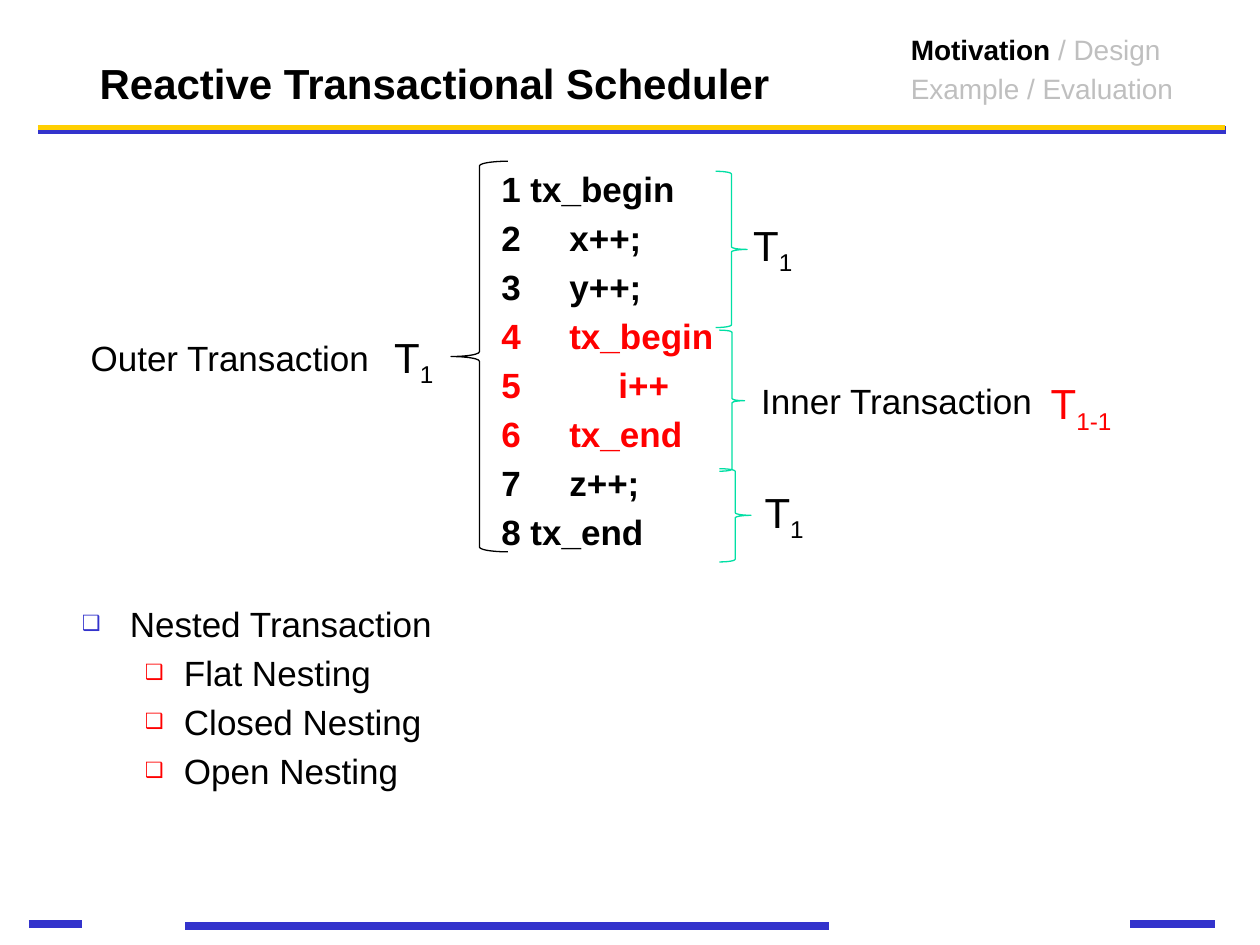
from dataclasses import dataclass

from lxml.etree import SubElement
from pptx import Presentation
from pptx.dml.color import RGBColor
from pptx.enum.shapes import MSO_CONNECTOR as Connector, MSO_SHAPE as Shape
from pptx.enum.text import MSO_ANCHOR as Anchor, MSO_AUTO_SIZE as AutoSize, PP_ALIGN as Align
from pptx.oxml.ns import qn
from pptx.util import Inches, Pt


@dataclass(frozen=True)
class Theme:
    """Colours, font and type sizes of the slide."""
    font: str = "Arial"
    ink: str = "000000"
    red: str = "FF0000"
    blue: str = "3333CC"
    gold: str = "FFCF01"
    green: str = "00DFA4"
    muted: str = "BFBFBF"
    heading: int = 24
    text: int = 20
    small: int = 16


THEME = Theme()

RULES = [
    (0.3, 9.73, 1.03, THEME.blue, 4.5),
    (1.47, 6.58, 7.35, THEME.blue, 4.5),
    (8.97, 9.64, 7.33, THEME.blue, 4.5),
    (0.3, 9.72, 1.01, THEME.gold, 3),
    (0.23, 0.65, 7.33, THEME.blue, 4.5),
]
CODE = [
    ("1 tx_begin", 0, THEME.ink),
    ("2\tx++;", 1, THEME.ink),
    ("3\ty++;", 1, THEME.ink),
    ("4\ttx_begin", 1, THEME.red),
    ("5\ti++", 2, THEME.red),
    ("6\ttx_end", 1, THEME.red),
    ("7\tz++;", 1, THEME.ink),
    ("8 tx_end", 0, THEME.ink),
]
TAB_STOPS = {1: 0.54, 2: 0.93}
BRACES = [
    (Shape.LEFT_BRACE, (3.58, 1.28, 0.45, 3.1), THEME.ink),
    (Shape.RIGHT_BRACE, (5.68, 1.36, 0.25, 1.24), THEME.green),
    (Shape.RIGHT_BRACE, (5.71, 2.62, 0.2, 1.12), THEME.green),
    (Shape.RIGHT_BRACE, (5.71, 3.72, 0.25, 0.74), THEME.green),
]
SYMBOLS = [
    ("1", (3.03, 2.58, 0.77, 0.5), THEME.ink),
    ("1", (5.88, 1.69, 0.77, 0.5), THEME.ink),
    ("1", (5.97, 3.81, 0.77, 0.5), THEME.ink),
    ("1-1", (8.24, 2.95, 1.03, 0.5), THEME.red),
]
CAPTIONS = [
    ("Outer Transaction", (0.6, 2.62, 2.43, 0.44)),
    ("Inner Transaction", (5.92, 2.96, 2.37, 0.44)),
]
TOPICS = [
    ("Nested Transaction", 0),
    ("Flat Nesting", 1),
    ("Closed Nesting", 1),
    ("Open Nesting", 1),
]
BULLETS = [(0.38, -0.38, THEME.blue), (0.81, -0.31, THEME.red)]


def add_span(para, text, size=THEME.text, color=THEME.ink, bold=False):
    """Add a formatted run to a paragraph."""
    span = para.add_run()
    span.text = text
    formats = {"name": THEME.font, "size": Pt(size), "bold": bold}
    for name, value in formats.items():
        setattr(span.font, name, value)
    span.font.color.rgb = RGBColor.from_string(color)
    return span


def add_paragraph(frame, index):
    """Return the paragraph at an index, spaced by a fifth of a line."""
    para = frame.add_paragraph() if index else frame.paragraphs[0]
    space = SubElement(para._p.get_or_add_pPr(), qn("a:spcBef"))
    SubElement(space, qn("a:spcPct"), val="20000")
    return para


def add_box(page, area, wrap=True):
    """Add a text box and return its frame."""
    frame = page.shapes.add_textbox(*map(Inches, area)).text_frame
    frame.word_wrap = wrap
    return frame


def place(holder, area):
    """Move a placeholder to an area and return its frame."""
    for name, value in zip(("left", "top", "width", "height"), area):
        setattr(holder, name, Inches(value))
    frame = holder.text_frame
    frame.auto_size = AutoSize.NONE
    return frame


def add_rule(page, left, right, height, color, weight):
    """Draw a horizontal rule."""
    rule = page.shapes.add_connector(
        Connector.STRAIGHT, *map(Inches, (left, height, right, height)))
    rule.line.color.rgb = RGBColor.from_string(color)
    rule.line.width = Pt(weight)
    SubElement(rule._element.spPr, qn("a:effectLst"))


def add_brace(page, kind, area, color):
    """Draw an unfilled brace."""
    brace = page.shapes.add_shape(kind, *map(Inches, area))
    brace.shadow.inherit = False
    brace.fill.background()
    brace.line.color.rgb = RGBColor.from_string(color)
    brace.line.width = Pt(0.75)


def add_symbol(page, index, area, color):
    """Write a transaction symbol with its subscript."""
    para = add_paragraph(add_box(page, area), 0)
    add_span(para, "T", THEME.heading, color)
    subscript = add_span(para, index, THEME.heading, color)
    subscript.font._element.set("baseline", "-25000")


def add_caption(page, text, area):
    """Write a right-aligned caption on one line."""
    para = add_paragraph(add_box(page, area, wrap=False), 0)
    para.alignment = Align.RIGHT
    add_span(para, text)


def add_title(page):
    """Fill the title placeholder."""
    frame = place(page.shapes.title, (0.69, 0.24, 8.42, 0.67))
    frame.vertical_anchor = Anchor.BOTTOM
    para = frame.paragraphs[0]
    para.alignment = Align.LEFT
    add_span(para, "Reactive Transactional Scheduler", THEME.heading, bold=True)


def add_topics(page):
    """Fill the body placeholder with the bulleted list."""
    frame = place(page.placeholders[1], (0.55, 4.73, 8.93, 1.79))
    for index, (text, level) in enumerate(TOPICS):
        para = add_paragraph(frame, index)
        para.level = level
        margin, indent, color = BULLETS[level]
        props = para._p.get_or_add_pPr()
        props.set("marL", str(Inches(margin)))
        props.set("indent", str(Inches(indent)))
        SubElement(SubElement(props, qn("a:buClr")), qn("a:srgbClr"), val=color)
        SubElement(props, qn("a:buSzPct"), val="60000")
        SubElement(props, qn("a:buChar"), char="❑")
        add_span(para, text)


def add_progress(page):
    """Write the section tracker with the current section in bold."""
    frame = add_box(page, (7.13, 0.21, 2.45, 0.69))
    para = add_paragraph(frame, 0)
    add_span(para, "Motivation", THEME.small, bold=True)
    add_span(para, " / Design", THEME.small, THEME.muted)
    add_span(add_paragraph(frame, 1), "Example / Evaluation", THEME.small, THEME.muted)


def add_code(page):
    """Write the numbered code, indented with tab stops."""
    frame = add_box(page, (3.88, 1.28, 2.31, 3.26))
    for index, (text, depth, color) in enumerate(CODE):
        para = add_paragraph(frame, index)
        if depth:
            tabs = SubElement(para._p.get_or_add_pPr(), qn("a:tabLst"))
            SubElement(tabs, qn("a:tab"), pos=str(Inches(TAB_STOPS[depth])), algn="l")
        add_span(para, text, color=color, bold=True)


def main():
    """Build the slide and save it."""
    deck = Presentation()
    deck.slide_width, deck.slide_height = Inches(10), Inches(7.5)
    page = deck.slides.add_slide(deck.slide_layouts[1])
    for rule in RULES:
        add_rule(page, *rule)
    add_title(page)
    add_topics(page)
    add_progress(page)
    add_code(page)
    for brace in BRACES:
        add_brace(page, *brace)
    for symbol in SYMBOLS:
        add_symbol(page, *symbol)
    for caption in CAPTIONS:
        add_caption(page, *caption)
    deck.save("out.pptx")


if __name__ == "__main__":
    main()
